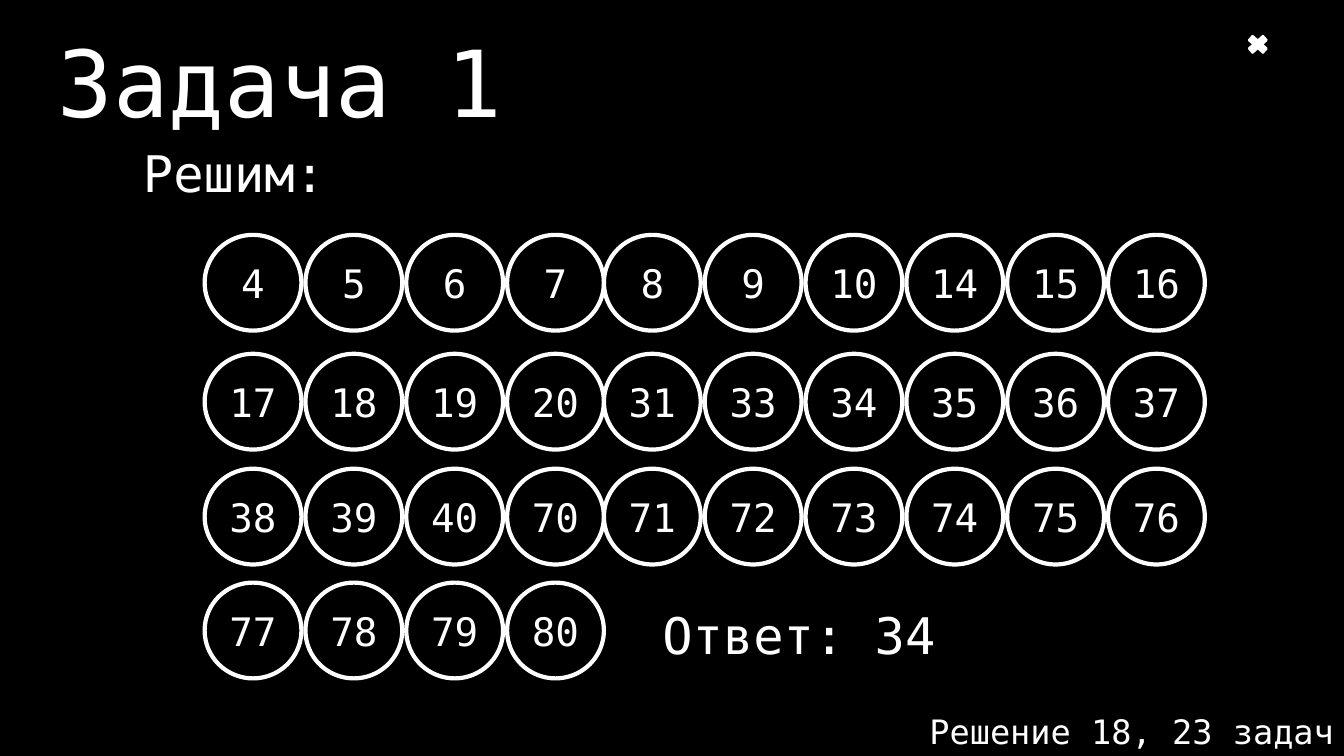
from pptx import Presentation
from pptx.dml.color import RGBColor
from pptx.enum.shapes import MSO_SHAPE
from pptx.enum.text import MSO_ANCHOR, MSO_AUTO_SIZE, PP_ALIGN
from pptx.util import Inches, Pt

OVAL, CROSS = MSO_SHAPE.OVAL, MSO_SHAPE.MATH_MULTIPLY
LEFT, CENTER, RIGHT = PP_ALIGN.LEFT, PP_ALIGN.CENTER, PP_ALIGN.RIGHT
TOP, MIDDLE = MSO_ANCHOR.TOP, MSO_ANCHOR.MIDDLE
NO_AUTOFIT = MSO_AUTO_SIZE.NONE

COLORS = {"background": "000000", "foreground": "FFFFFF"}
FONT = "DejaVu Sans Mono"
TITLE_ONLY = 5
COLUMNS = 10
ROW_TOPS = [2.33, 3.51, 4.65, 5.78]
NUMBERS = [*range(4, 11), *range(14, 21), 31, *range(33, 41), *range(70, 81)]


class TaskSlide:
    def __init__(self, presentation):
        self.slide = presentation.slides.add_slide(presentation.slide_layouts[TITLE_ONLY])
        self.foreground = RGBColor.from_string(COLORS["foreground"])
        fill = self.slide.background.fill
        fill.solid()
        fill.fore_color.rgb = RGBColor.from_string(COLORS["background"])

    def set_text(self, shape, text, size, alignment=LEFT, **frame_format):
        frame = shape.text_frame
        frame_values = {"word_wrap": True, "auto_size": NO_AUTOFIT,
                        "vertical_anchor": TOP, **frame_format}
        for name, value in frame_values.items():
            setattr(frame, name, value)
        paragraph = frame.paragraphs[0]
        paragraph.text = text
        paragraph.alignment = alignment
        for name, value in {"name": FONT, "size": Pt(size)}.items():
            setattr(paragraph.font, name, value)
        paragraph.font.color.rgb = self.foreground

    def title(self, text, box, size):
        shape = self.slide.shapes.title
        for name, value in zip(("left", "top", "width", "height"), box):
            setattr(shape, name, Inches(value))
        self.set_text(shape, text, size)

    def label(self, text, box, size, alignment=LEFT):
        shape = self.slide.shapes.add_textbox(*map(Inches, box))
        self.set_text(shape, text, size, alignment)

    def outline(self, kind, box, line_width):
        shape = self.slide.shapes.add_shape(kind, *map(Inches, box))
        shape.shadow.inherit = False
        shape.line.color.rgb = self.foreground
        shape.line.width = Pt(line_width)
        return shape

    def cross(self, box):
        shape = self.outline(CROSS, box, 1.5)
        shape.fill.solid()
        shape.fill.fore_color.rgb = self.foreground

    def number(self, value, left, top):
        shape = self.outline(OVAL, (left, top, 0.96, 0.95), 3)
        shape.fill.background()
        self.set_text(shape, str(value), 28, CENTER, vertical_anchor=MIDDLE,
                      margin_left=0, margin_right=0)


def main():
    presentation = Presentation()
    presentation.slide_width = Inches(13.33)
    presentation.slide_height = Inches(7.5)
    task = TaskSlide(presentation)
    task.title("Задача 1", (0.47, 0.2, 7.04, 1.21), 66)
    task.label("Решение 18, 23 задач", (8.33, 7, 5, 0.5), 24, RIGHT)
    task.cross((12.34, 0.32, 0.27, 0.24))
    task.label("Решим:", (1.32, 1.36, 2.13, 0.71), 36)
    for index, value in enumerate(NUMBERS):
        row, column = divmod(index, COLUMNS)
        first_left = 2.03 if column < 4 else 1.99
        task.number(value, first_left + column, ROW_TOPS[row])
    task.label("Ответ: 34", (6.47, 5.94, 3.48, 0.71), 36)
    presentation.save("out.pptx")


if __name__ == "__main__":
    main()
